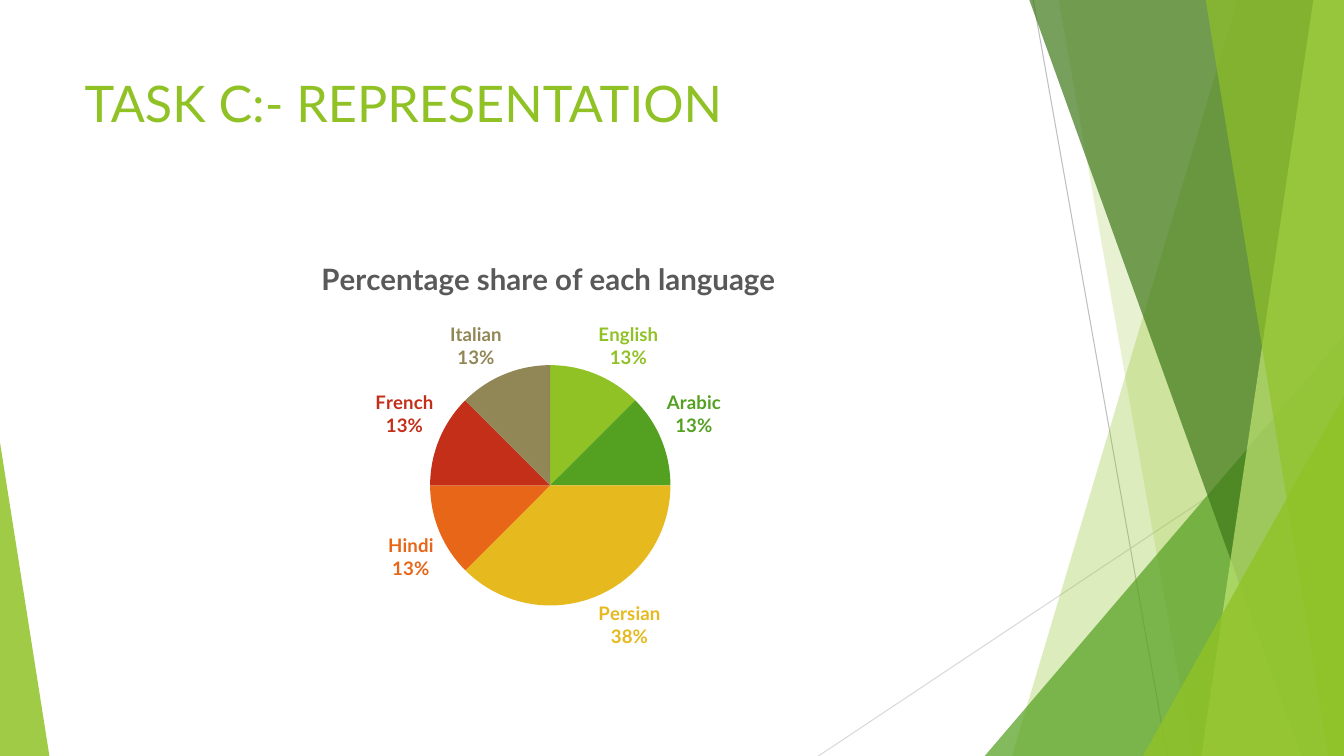
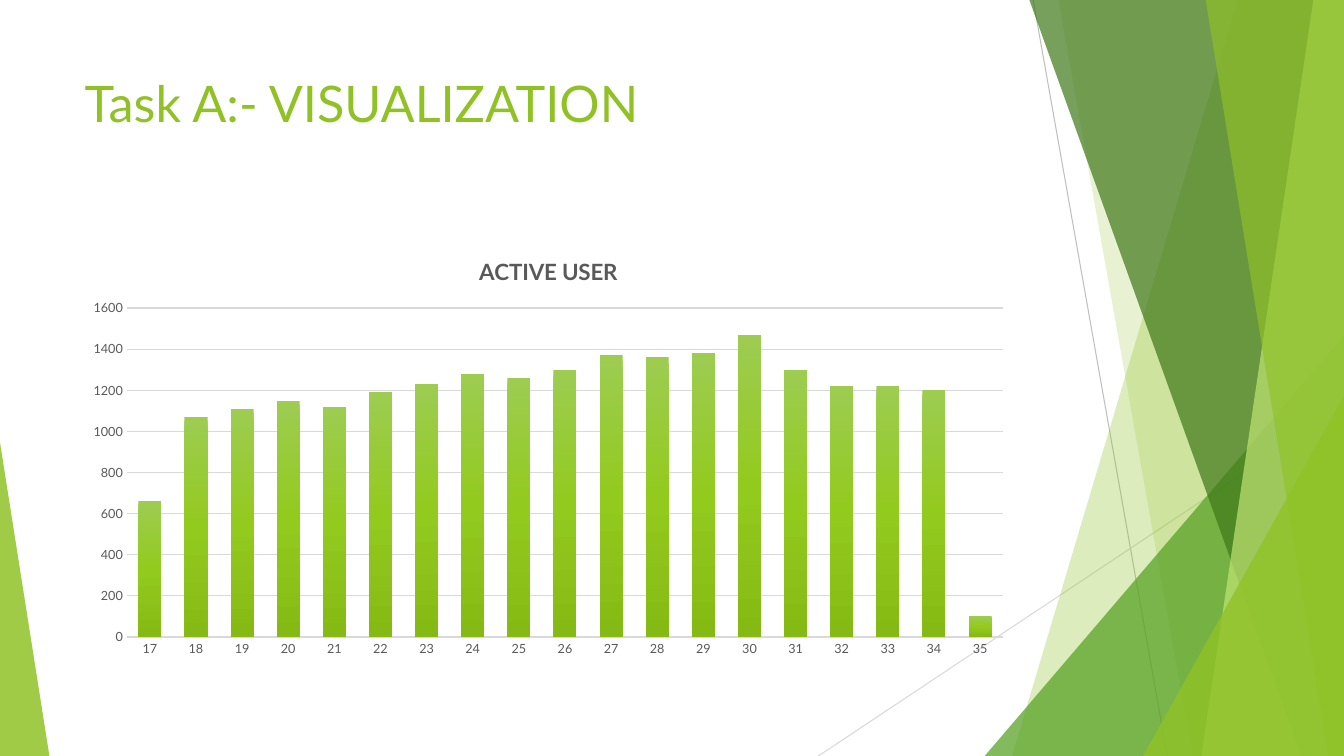
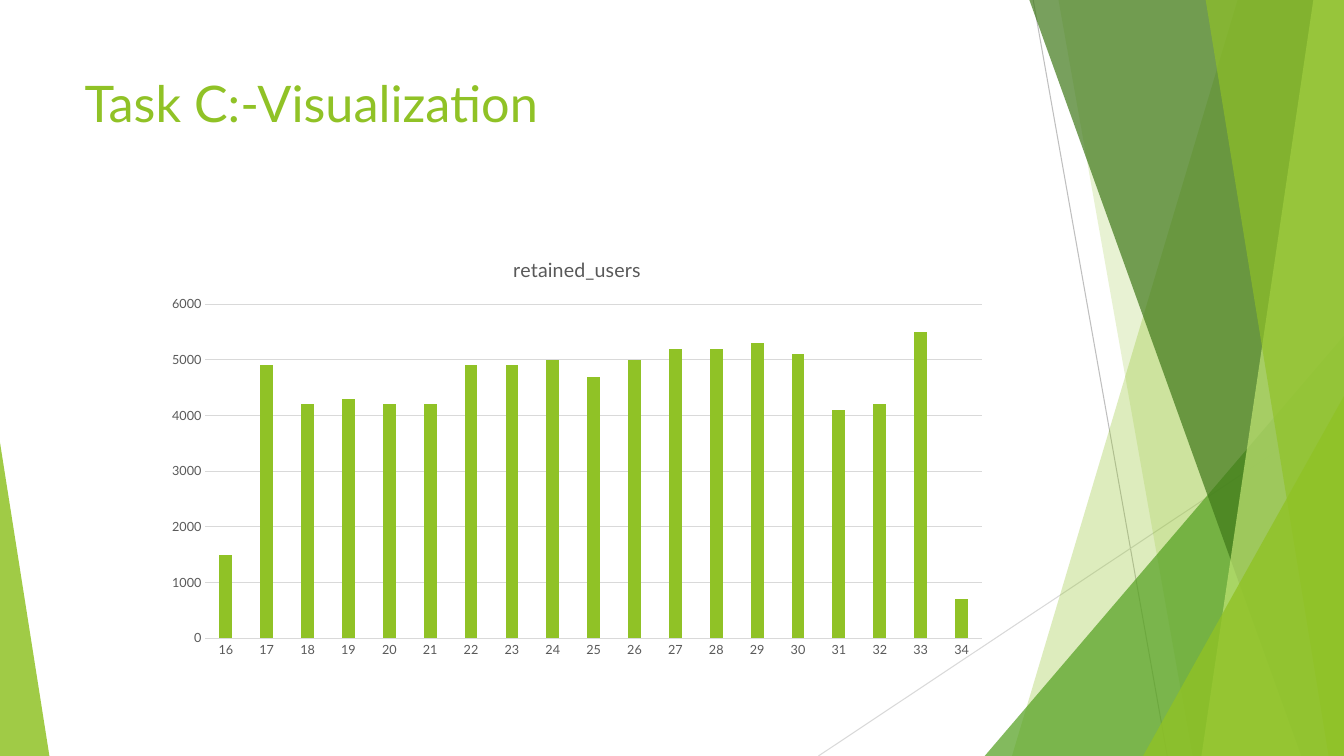
from copy import deepcopy
from lxml.etree import SubElement
from pptx import Presentation
from pptx.chart.data import CategoryChartData
from pptx.dml.color import RGBColor
from pptx.enum.chart import XL_CHART_TYPE, XL_LABEL_POSITION, XL_TICK_MARK
from pptx.enum.shapes import MSO_CONNECTOR, MSO_SHAPE
from pptx.enum.text import MSO_ANCHOR, PP_ALIGN
from pptx.oxml.ns import qn
from pptx.util import Pt

WIDTH, HEIGHT = 960, 540
FONT, GREEN, GRAY, RULE = "Lato", "90C226", "595959", "D9D9D9"
TITLE_BOX = (53.3, 48.2, 676.8, 103.7)

RAYS = [
    ((738, 0), (833.8, HEIGHT), "BFBFBF"),
    ((WIDTH, 290.2), (584.6, HEIGHT), RULE),
]
FACETS = [
    ("strip", 884.2, 722.9, GREEN, 30),
    ("strip", 756, 851.8, GREEN, 20),
    ("right peak", 703.4, 239.8, "54A021", 72),
    ("strip", 735.1, 929.5, "3F7819", 70),
    ("strip", 938.2, 858.2, "C0E474", 70),
    ("strip", 861.1, 949, GREEN, 65),
    ("right peak", 816.5, 283, GREEN, 80),
    ("left peak", 35.3, 316.1, GREEN, 85),
]

LANGUAGES = [
    ("English", 12, GREEN),
    ("Arabic", 12, "54A021"),
    ("Persian", 36, "E6B91E"),
    ("Hindi", 12, "E76618"),
    ("French", 12, "C42F1A"),
    ("Italian", 12, "918655"),
]
SLIDES = [
    dict(
        title="TASK C:- REPRESENTATION",
        heading="Percentage share of each language",
        heading_font=dict(size=Pt(21), bold=True),
        box=(53.3, 170, 676.8, 305.3),
        slices=LANGUAGES,
    ),
    dict(
        title="Task A:- VISUALIZATION",
        heading="ACTIVE USER",
        heading_font=dict(size=Pt(16), bold=True),
        box=(53.3, 170, 676.8, 305.3),
        series="Series 1",
        first_week=17,
        users=[660, 1070, 1110, 1150, 1120, 1190, 1230, 1280, 1260, 1300,
               1370, 1360, 1380, 1470, 1300, 1220, 1220, 1200, 100],
        gap=100, overlap=-24, top=1600, step=200, axis_width=1,
        colors=["9DCC51", "93CA1E", "85BA14"],
    ),
    dict(
        title="Task C:-Visualization",
        heading="retained_users",
        heading_font=dict(size=Pt(14), bold=False),
        box=(110.9, 170, 602.6, 306),
        series="retained_users",
        first_week=16,
        users=[1500, 4900, 4200, 4300, 4200, 4200, 4900, 4900, 5000, 4700,
               5000, 5200, 5200, 5300, 5100, 4100, 4200, 5500, 700],
        gap=219, overlap=-27, top=6000, step=1000, axis_width=0.75,
        colors=[GREEN],
    ),
]


def rgb(code):
    return RGBColor.from_string(code)


def points(values):
    return [Pt(value) for value in values]


def apply(target, **values):
    for name, value in values.items():
        setattr(target, name, value)


def style_font(font, color, **values):
    apply(font, name=FONT, **values)
    font.color.rgb = rgb(color)


def paint(fill, color):
    fill.solid()
    fill.fore_color.rgb = rgb(color)


def draw_line(line, color, width):
    paint(line.fill, color)
    line.width = Pt(width)


def add_ray(shapes, start, end, color):
    ray = shapes.add_connector(MSO_CONNECTOR.STRAIGHT, *points(start + end))
    draw_line(ray.line, color, 0.75)
    SubElement(ray.element.spPr, qn("a:effectLst"))
    return ray


def add_facet(shapes, kind, first, second, color, opacity):
    if kind == "strip":
        top = -0.5
        outline = shapes.build_freeform(*points((first, top)))
        corners = [(WIDTH, top), (WIDTH, HEIGHT), (second, HEIGHT)]
        outline.add_line_segments([points(corner) for corner in corners])
        facet = outline.convert_to_shape()
    else:
        on_right = kind == "right peak"
        left, width = (first, WIDTH - first) if on_right else (0, first)
        facet = shapes.add_shape(MSO_SHAPE.ISOSCELES_TRIANGLE,
                                 *points((left, second, width, HEIGHT - second)))
        facet.adjustments[0] = 1 if on_right else 0
    facet.shadow.inherit = False
    paint(facet.fill, color)
    tint = facet.element.spPr.find(".//" + qn("a:srgbClr"))
    SubElement(tint, qn("a:alpha"), val=str(opacity * 1000))
    facet.line.fill.background()
    return facet


def decorate(layout, slide):
    backdrop = [add_ray(slide.shapes, *ray) for ray in RAYS]
    backdrop += [add_facet(slide.shapes, *facet) for facet in FACETS]
    for order, part in enumerate(backdrop):
        part.element.xpath(".//p:cNvPr")[0].set("id", str(100 + order))
        layout.shapes.element.insert(2 + order, part.element)


def add_chart(slide, kind, content, categories, series, values):
    data = CategoryChartData()
    data.categories = categories
    data.add_series(series, values)
    chart = slide.shapes.add_chart(kind, *points(content["box"]), data).chart
    style_font(chart.font, "000000", size=Pt(10))
    chart.has_legend = False
    chart.has_title = True
    heading = chart.chart_title.text_frame
    heading.text = content["heading"]
    style_font(heading.paragraphs[0].runs[0].font, GRAY, **content["heading_font"])
    return chart


def add_pie(slide, content):
    languages, shares, colors = zip(*content["slices"])
    chart = add_chart(slide, XL_CHART_TYPE.PIE, content, languages, "Series 1", shares)
    plot = chart.plots[0]
    plot.vary_by_categories = True
    series = plot.series[0]
    for index, color in enumerate(colors):
        point = series.points[index]
        paint(point.format.fill, color)
        style_font(point.data_label.font, color, size=Pt(13.3), bold=True)
        point.data_label.position = XL_LABEL_POSITION.OUTSIDE_END
    for label in series._element.iter(qn("c:dLbl")):
        for flag, shown in dict(showVal="0", showCatName="1", showPercent="1").items():
            label.find(qn("c:" + flag)).set("val", shown)
        SubElement(label, qn("c:separator")).text = "\n"


def paint_gradient(series, colors):
    fill = series.format.fill
    fill.gradient()
    fill.gradient_angle = 270
    stop_list = series._element.find(".//" + qn("a:gsLst"))
    while len(stop_list) < len(colors):
        stop_list.append(deepcopy(stop_list[0]))
    for index, (stop, color) in enumerate(zip(fill.gradient_stops, colors)):
        stop.position = index / (len(colors) - 1)
        stop.color.rgb = rgb(color)


def add_columns(slide, content):
    first, users = content["first_week"], content["users"]
    weeks = [str(first + offset) for offset in range(len(users))]
    chart = add_chart(slide, XL_CHART_TYPE.COLUMN_CLUSTERED, content,
                      weeks, content["series"], users)
    plot = chart.plots[0]
    apply(plot, vary_by_categories=False, gap_width=content["gap"],
          overlap=content["overlap"])
    colors = content["colors"]
    if len(colors) > 1:
        paint_gradient(plot.series[0], colors)
    else:
        paint(plot.series[0].format.fill, colors[0])
    for axis in (chart.category_axis, chart.value_axis):
        apply(axis, major_tick_mark=XL_TICK_MARK.NONE, minor_tick_mark=XL_TICK_MARK.NONE)
        style_font(axis.tick_labels.font, GRAY, size=Pt(9))
    draw_line(chart.category_axis.format.line, RULE, content["axis_width"])
    scale = chart.value_axis
    apply(scale, minimum_scale=0, maximum_scale=content["top"],
          major_unit=content["step"], has_major_gridlines=True)
    scale.format.line.fill.background()
    draw_line(scale.major_gridlines.format.line, RULE, 0.75)


def add_title(slide, text):
    title = slide.shapes.title
    frame = title.text_frame
    frame.text = text
    apply(frame, word_wrap=True, vertical_anchor=MSO_ANCHOR.TOP)
    paragraph = frame.paragraphs[0]
    paragraph.alignment = PP_ALIGN.LEFT
    style_font(paragraph.runs[0].font, GREEN, size=Pt(36))


def main():
    deck = Presentation()
    apply(deck, slide_width=Pt(WIDTH), slide_height=Pt(HEIGHT))
    layout = deck.slide_layouts.get_by_name("Title Only")
    left, top, width, height = points(TITLE_BOX)
    apply(layout.placeholders[0], left=left, top=top, width=width, height=height)
    for number, content in enumerate(SLIDES):
        slide = deck.slides.add_slide(layout)
        if number == 0:
            decorate(layout, slide)
        add_title(slide, content["title"])
        if "slices" in content:
            add_pie(slide, content)
        else:
            add_columns(slide, content)
    deck.save("out.pptx")


if __name__ == "__main__":
    main()
